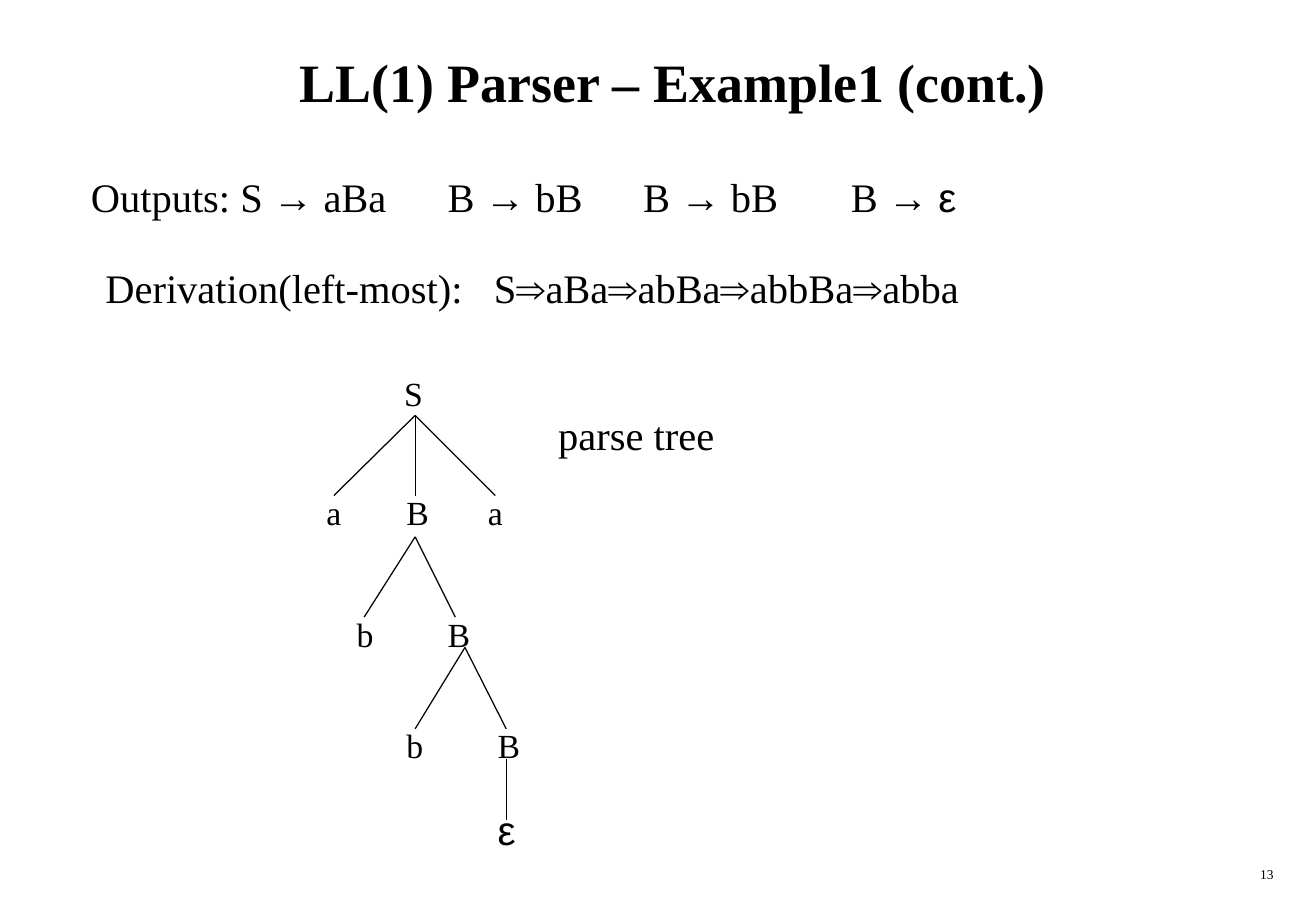
from itertools import groupby

from lxml import etree
from pptx import Presentation
from pptx.dml.color import RGBColor
from pptx.enum.shapes import MSO_CONNECTOR
from pptx.enum.text import MSO_ANCHOR, MSO_AUTO_SIZE, PP_ALIGN
from pptx.oxml.ns import qn
from pptx.util import Inches, Pt

STRAIGHT = MSO_CONNECTOR.STRAIGHT
MIDDLE = MSO_ANCHOR.MIDDLE
NO_FIT = MSO_AUTO_SIZE.NONE
LEFT, CENTER, RIGHT = PP_ALIGN.LEFT, PP_ALIGN.CENTER, PP_ALIGN.RIGHT

COLORS = {"ink": "000000", "paper": "FFFFFF"}
TEXT_FONT, SYMBOL_FONT = "Times New Roman", "Arial"
SYMBOLS = "→⇒ε"

# Label: text, left, top, width, height, size (offsets from the tree's corner)
TREE_LABELS = [
    ("S", 0.64, 0, 0.4, 0.44, 20),
    ("a", 0, 0.98, 0.4, 0.44, 20),
    ("B", 0.66, 0.98, 0.4, 0.44, 20),
    ("a", 1.33, 0.98, 0.4, 0.44, 20),
    ("b", 0.25, 1.98, 0.4, 0.44, 20),
    ("B", 1, 1.98, 0.4, 0.44, 20),
    ("b", 0.66, 2.9, 0.4, 0.44, 20),
    ("B", 1.41, 2.9, 0.4, 0.44, 20),
    ("ε", 1.41, 3.56, 0.4, 0.5, 24),
]
# Branch: parent point, then the points of its children
TREE_BRANCHES = [
    ((0.83, 0.4), [(0.16, 1.06), (0.83, 1.06), (1.49, 1.06)]),
    ((0.83, 1.4), [(0.41, 2.06), (1.16, 2.06)]),
    ((1.24, 2.31), [(0.83, 2.98), (1.58, 2.98)]),
    ((1.58, 3.23), [(1.58, 3.73)]),
]


def add_spans(para, text, size, bold=False):
    """Add text in runs, switching font for the symbols."""
    for is_symbol, letters in groupby(text, lambda letter: letter in SYMBOLS):
        span = para.add_run()
        span.text = "".join(letters)
        span.font.name = SYMBOL_FONT if is_symbol else TEXT_FONT
        span.font.size = Pt(size)
        span.font.bold = bold
        span.font.color.rgb = RGBColor.from_string(COLORS["ink"])


def add_label(page, text, left, top, width, height, size, align=LEFT, tabs=()):
    """Add a text box; tabs are stops in inches from the text's left edge."""
    box = page.shapes.add_textbox(Inches(left), Inches(top), Inches(width), Inches(height))
    box.text_frame.word_wrap = True
    para = box.text_frame.paragraphs[0]
    para.alignment = align
    if tabs:
        stops = etree.SubElement(para._p.get_or_add_pPr(), qn("a:tabLst"))
        for stop in tabs:
            etree.SubElement(stops, qn("a:tab"), pos=str(Inches(stop)), algn="l")
    add_spans(para, text, size)


def add_title(page, left, top, width, height):
    title = page.shapes.title
    title.left, title.top = Inches(left), Inches(top)
    title.width, title.height = Inches(width), Inches(height)
    frame = title.text_frame
    frame.auto_size = NO_FIT
    frame.vertical_anchor = MIDDLE
    para = frame.paragraphs[0]
    para.alignment = CENTER
    add_spans(para, "LL(1) Parser – Example1 (cont.)", 32, bold=True)


def add_derivation(page, left, top, width):
    add_label(page, "Outputs: S → aBa\tB → bB\tB → bB\tB → ε",
              left, top, width, 0.5, 24, tabs=(2.94, 4.55, 6.26))
    add_label(page, "Derivation(left-most):\tS⇒aBa⇒abBa⇒abbBa⇒abba",
              left + 0.12, top + 0.75, width, 0.5, 24, tabs=(3.2,))


def add_branch(page, start, end):
    line = page.shapes.add_connector(STRAIGHT, *map(Inches, start + end))
    line.line.color.rgb = RGBColor.from_string(COLORS["ink"])
    line.line.width = Pt(0.75)
    etree.SubElement(line._element.spPr, qn("a:effectLst"))


def add_parse_tree(page, left, top):
    for (x, y), children in TREE_BRANCHES:
        for child_x, child_y in children:
            add_branch(page, (left + x, top + y), (left + child_x, top + child_y))
    for text, x, y, width, height, size in TREE_LABELS:
        add_label(page, text, left + x, top + y, width, height, size)
    add_label(page, "parse tree", left + 1.91, top + 0.31, 1.6, 0.5, 24)


def main():
    deck = Presentation()
    deck.slide_width, deck.slide_height = Inches(10.84), Inches(7.5)
    page = deck.slides.add_slide(deck.slide_layouts.get_by_name("Title Only"))
    fill = page.background.fill
    fill.solid()
    fill.fore_color.rgb = RGBColor.from_string(COLORS["paper"])
    add_title(page, 0.42, 0.17, 10.25, 1)
    add_derivation(page, 0.65, 1.37, 8.2)
    add_parse_tree(page, 2.59, 3.02)
    add_label(page, "13", 8.33, 7.08, 2.26, 0.25, 8, align=RIGHT)
    deck.save("out.pptx")


if __name__ == "__main__":
    main()
